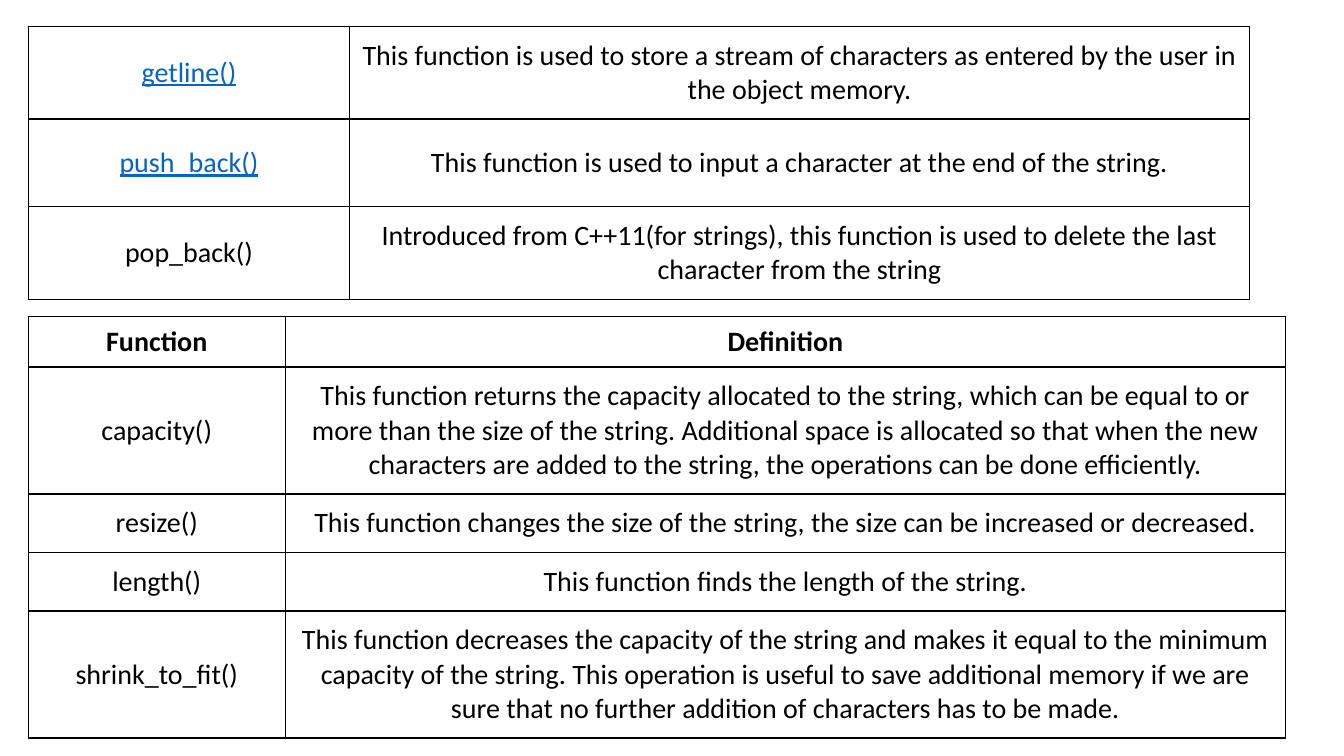
from dataclasses import dataclass

from lxml.etree import SubElement
from pptx import Presentation
from pptx.dml.color import RGBColor
from pptx.enum.text import MSO_ANCHOR as Anchor, PP_ALIGN as Align
from pptx.oxml.ns import qn
from pptx.slide import Slide
from pptx.table import _Cell as Cell
from pptx.util import Inches, Pt

BLACK = "000000"
WHITE = "FFFFFF"
LINK_BLUE = "0563C1"


@dataclass
class Entry:
    function: str
    definition: str
    height: float
    linked: bool = False
    header: bool = False


@dataclass
class FunctionTable:
    top: float
    column_widths: tuple[float, float]
    entries: list[Entry]


TABLES = [
    FunctionTable(0.26, (3.19, 8.92), [
        Entry("getline()", "This function is used to store a stream of characters as entered "
              "by the user in the object memory.", 0.87, linked=True),
        Entry("push_back()", "This function is used to input a character at the end of the "
              "string.", 0.87, linked=True),
        Entry("pop_back()", "Introduced from C++11(for strings), this function is used to "
              "delete the last character from the string", 0.87),
    ]),
    FunctionTable(3.14, (2.55, 9.92), [
        Entry("Function", "Definition", 0.5, header=True),
        Entry("capacity()", "This function returns the capacity allocated to the string, which "
              "can be equal to or more than the size of the string. Additional space is "
              "allocated so that when the new characters are added to the string, the "
              "operations can be done efficiently.", 1.25),
        Entry("resize()", "This function changes the size of the string, the size can be "
              "increased or decreased.", 0.57),
        Entry("length()", "This function finds the length of the string.", 0.57),
        Entry("shrink_to_fit()", "This function decreases the capacity of the string and makes "
              "it equal to the minimum capacity of the string. This operation is useful to "
              "save additional memory if we are sure that no further addition of characters "
              "has to be made.", 1.25),
    ]),
]


def color(value: str) -> RGBColor:
    return RGBColor.from_string(value)


def add_borders(cell: Cell) -> None:
    properties = cell._tc.get_or_add_tcPr()
    for position, side in enumerate(("lnL", "lnR", "lnT", "lnB")):
        line = SubElement(properties, qn(f"a:{side}"), w=str(Pt(1)))
        fill = SubElement(line, qn("a:solidFill"))
        SubElement(fill, qn("a:srgbClr"), val=BLACK)
        properties.insert(position, line)


def fill_cell(cell: Cell, text: str, entry: Entry, linked: bool) -> None:
    vertical = Inches(0.08 if entry.header else 0.12)
    cell_format = {
        "vertical_anchor": Anchor.MIDDLE,
        "margin_left": Inches(0.08),
        "margin_right": Inches(0.08),
        "margin_top": vertical,
        "margin_bottom": vertical,
    }
    for name, value in cell_format.items():
        setattr(cell, name, value)
    cell.fill.solid()
    cell.fill.fore_color.rgb = color(WHITE)
    add_borders(cell)

    paragraph = cell.text_frame.paragraphs[0]
    paragraph.alignment = Align.CENTER
    run = paragraph.add_run()
    run.text = text
    font_format = {"name": "Calibri", "size": Pt(20), "bold": entry.header, "underline": linked}
    for name, value in font_format.items():
        setattr(run.font, name, value)
    run.font.color.rgb = color(LINK_BLUE if linked else BLACK)


def add_function_table(slide: Slide, content: FunctionTable) -> None:
    width = sum(content.column_widths)
    height = sum(entry.height for entry in content.entries)
    table = slide.shapes.add_table(
        len(content.entries), 2,
        Inches(0.28), Inches(content.top), Inches(width), Inches(height),
    ).table
    table.first_row = content.entries[0].header
    table.horz_banding = False
    for column, column_width in zip(table.columns, content.column_widths):
        column.width = Inches(column_width)
    for row, entry in zip(table.rows, content.entries):
        row.height = Inches(entry.height)
        function_cell, definition_cell = row.cells
        fill_cell(function_cell, entry.function, entry, entry.linked)
        fill_cell(definition_cell, entry.definition, entry, False)


def main() -> None:
    presentation = Presentation()
    presentation.slide_width = Inches(13.33)
    presentation.slide_height = Inches(7.5)
    slide = presentation.slides.add_slide(presentation.slide_layouts[6])
    for content in TABLES:
        add_function_table(slide, content)
    presentation.save("out.pptx")


if __name__ == "__main__":
    main()
